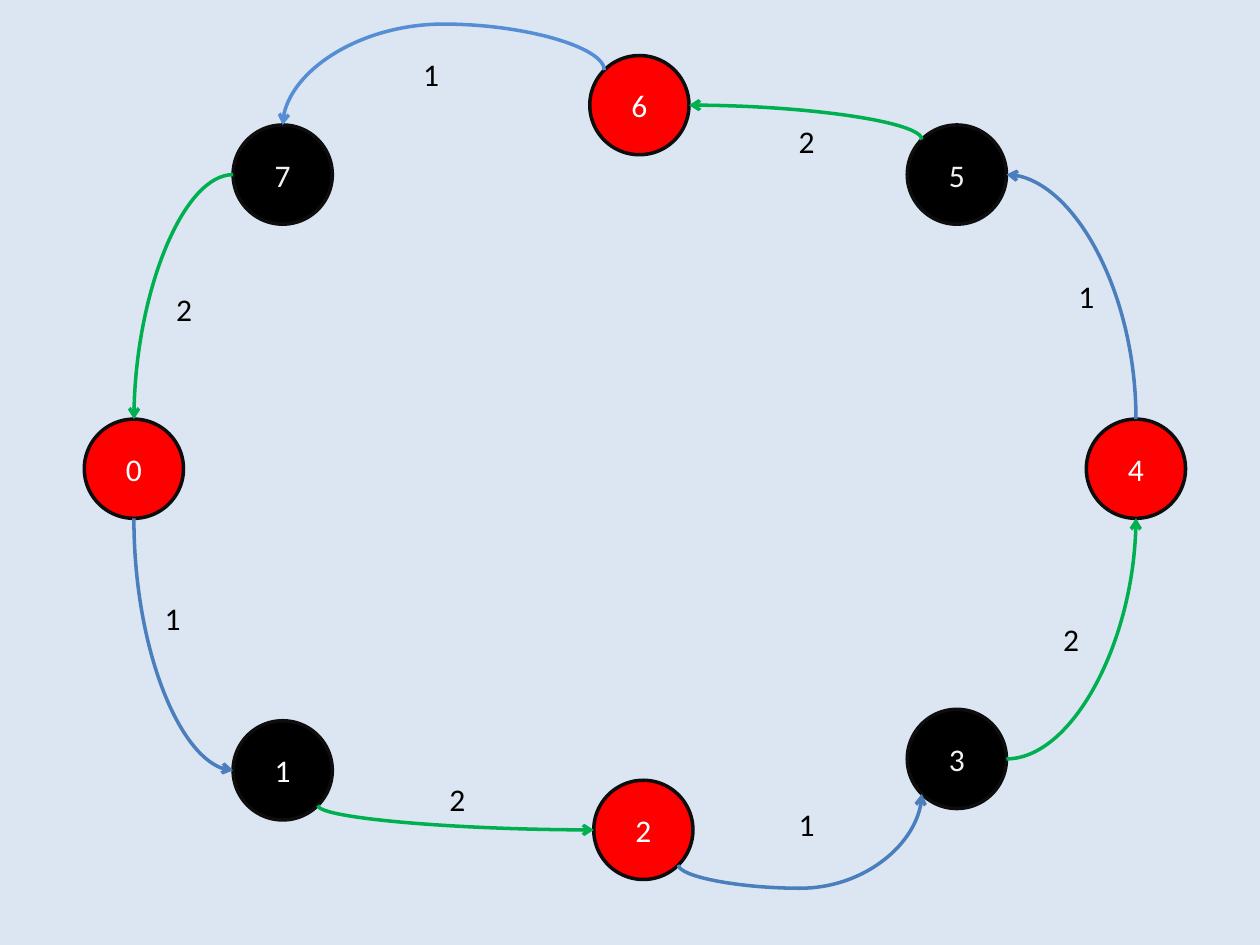
from math import cos, radians, sin
from typing import NamedTuple

from lxml.etree import SubElement
from pptx import Presentation
from pptx.dml.color import RGBColor
from pptx.enum.shapes import MSO_CONNECTOR, MSO_SHAPE
from pptx.enum.text import MSO_ANCHOR, MSO_AUTO_SIZE, PP_ALIGN
from pptx.oxml.ns import qn
from pptx.util import Cm, Pt

RED, BLACK, WHITE, PALE = "FF0000", "000000", "FFFFFF", "F2F2F2"
BLUE, LIGHT_BLUE, GREEN = "4B7EBC", "558ED5", "00B050"
OUTLINE, BACKGROUND = "0D0D0D", "DCE6F2"
RADIUS = 1.0
LABEL_WIDTH, LABEL_HEIGHT = 0.84, 1.02

# Connection sites of an ellipse, counted counter-clockwise from the top
TOP, TOP_LEFT, LEFT, BOTTOM_LEFT, BOTTOM, BOTTOM_RIGHT, RIGHT = range(7)


class Node(NamedTuple):
    x: float
    y: float
    fill: str
    text_color: str = WHITE


class Edge(NamedTuple):
    """A curved arrow to the next node; bend is set for a three-part curve."""
    start_site: int
    end_site: int
    color: str
    weight: str
    label_left: float
    label_top: float
    bend: float | None = None


# Both lists are in the order of the ring: edge n runs from node n to node n + 1
NODES = [
    Node(2.7, 9.45, RED),
    Node(5.7, 15.53, BLACK),
    Node(12.97, 16.73, RED),
    Node(19.29, 15.3, BLACK, PALE),
    Node(22.9, 9.45, RED),
    Node(19.29, 3.52, BLACK, PALE),
    Node(12.89, 2.12, RED),
    Node(5.7, 3.52, BLACK, PALE),
]
EDGES = [
    Edge(BOTTOM, LEFT, BLUE, "1", 3.07, 11.96),
    Edge(BOTTOM_RIGHT, LEFT, GREEN, "2", 8.81, 15.6),
    Edge(BOTTOM_RIGHT, BOTTOM_LEFT, BLUE, "1", 15.85, 16.1, -0.33),
    Edge(RIGHT, BOTTOM, GREEN, "2", 21.18, 12.37),
    Edge(TOP, RIGHT, BLUE, "1", 21.49, 5.46),
    Edge(TOP_LEFT, RIGHT, GREEN, "2", 15.85, 2.34),
    Edge(TOP_LEFT, TOP, LIGHT_BLUE, "1", 8.28, 0.99, -0.84),
    Edge(LEFT, TOP, GREEN, "2", 3.3, 5.72),
]


def paint(target, color: str) -> None:
    """Give a fill one solid colour."""
    target.solid()
    target.fore_color.rgb = RGBColor.from_string(color)


def write(frame, text: str, color: str, **frame_format) -> None:
    for name, value in frame_format.items():
        setattr(frame, name, value)
    span = frame.paragraphs[0].add_run()
    span.text = text
    for name, value in {"name": "Calibri", "size": Pt(18)}.items():
        setattr(span.font, name, value)
    paint(span.font.fill, color)


def draw_node(page, number: int, node: Node):
    circle = page.shapes.add_shape(
        MSO_SHAPE.OVAL, Cm(node.x - RADIUS), Cm(node.y - RADIUS),
        Cm(2 * RADIUS), Cm(2 * RADIUS))
    circle.shadow.inherit = False
    paint(circle.fill, node.fill)
    paint(circle.line.fill, OUTLINE)
    circle.line.width = Pt(2)
    write(circle.text_frame, str(number), node.text_color,
          vertical_anchor=MSO_ANCHOR.MIDDLE)
    circle.text_frame.paragraphs[0].alignment = PP_ALIGN.CENTER
    return circle


def site_position(node: Node, site: int) -> tuple[float, float]:
    angle = radians(90 + 45 * site)
    return node.x + RADIUS * cos(angle), node.y - RADIUS * sin(angle)


def unrotated_span(start: tuple, end: tuple, site: int) -> tuple[int, float, float]:
    """Return the turn in degrees and the span the curve has before that turn."""
    dx, dy = end[0] - start[0], end[1] - start[1]
    if site in (LEFT, RIGHT):
        return (180, -dx, -dy) if dx < 0 else (0, dx, dy)
    return (90, dy, -dx) if dx > 0 > dy else (270, -dy, dx)


def draw_edge(page, edge: Edge, source: Node, target: Node, circles: tuple) -> None:
    start = site_position(source, edge.start_site)
    end = site_position(target, edge.end_site)
    turn, width, height = unrotated_span(start, end, edge.start_site)
    x, y = (start[0] + end[0]) / 2, (start[1] + end[1]) / 2
    curve = page.shapes.add_connector(
        MSO_CONNECTOR.CURVE, Cm(x - width / 2), Cm(y - height / 2),
        Cm(x + width / 2), Cm(y + height / 2))
    paint(curve.line.fill, edge.color)
    curve.line.width = Pt(2)

    properties = curve.element.spPr
    properties.find(qn("a:xfrm")).set("rot", str(turn * 60000))
    geometry = properties.find(qn("a:prstGeom"))
    if edge.bend is None:
        geometry.set("prst", "curvedConnector2")
    else:
        SubElement(geometry.find(qn("a:avLst")), qn("a:gd"),
                   name="adj1", fmla=f"val {round(edge.bend * 100000)}")
    SubElement(properties.find(qn("a:ln")), qn("a:tailEnd"), type="arrow")
    SubElement(properties, qn("a:effectLst"))

    # Diagonal sites lie outside what begin_connect and end_connect can place
    joints = next(curve.element.iter(qn("p:cNvCxnSpPr")))
    sites = (edge.start_site, edge.end_site)
    for tag, circle, site in zip(("a:stCxn", "a:endCxn"), circles, sites):
        SubElement(joints, qn(tag), id=str(circle.shape_id), idx=str(site))


def draw_weight(page, edge: Edge) -> None:
    box = page.shapes.add_textbox(Cm(edge.label_left), Cm(edge.label_top),
                                  Cm(LABEL_WIDTH), Cm(LABEL_HEIGHT))
    write(box.text_frame, edge.weight, BLACK, word_wrap=False,
          auto_size=MSO_AUTO_SIZE.SHAPE_TO_FIT_TEXT)


def main() -> None:
    deck = Presentation()
    deck.slide_width, deck.slide_height = Cm(25.4), Cm(19.05)
    page = deck.slides.add_slide(deck.slide_layouts[6])
    paint(page.background.fill, BACKGROUND)

    circles = [draw_node(page, number, node) for number, node in enumerate(NODES)]
    for number, edge in enumerate(EDGES):
        following = (number + 1) % len(NODES)
        draw_edge(page, edge, NODES[number], NODES[following],
                  (circles[number], circles[following]))
        draw_weight(page, edge)
    deck.save("out.pptx")


if __name__ == "__main__":
    main()
